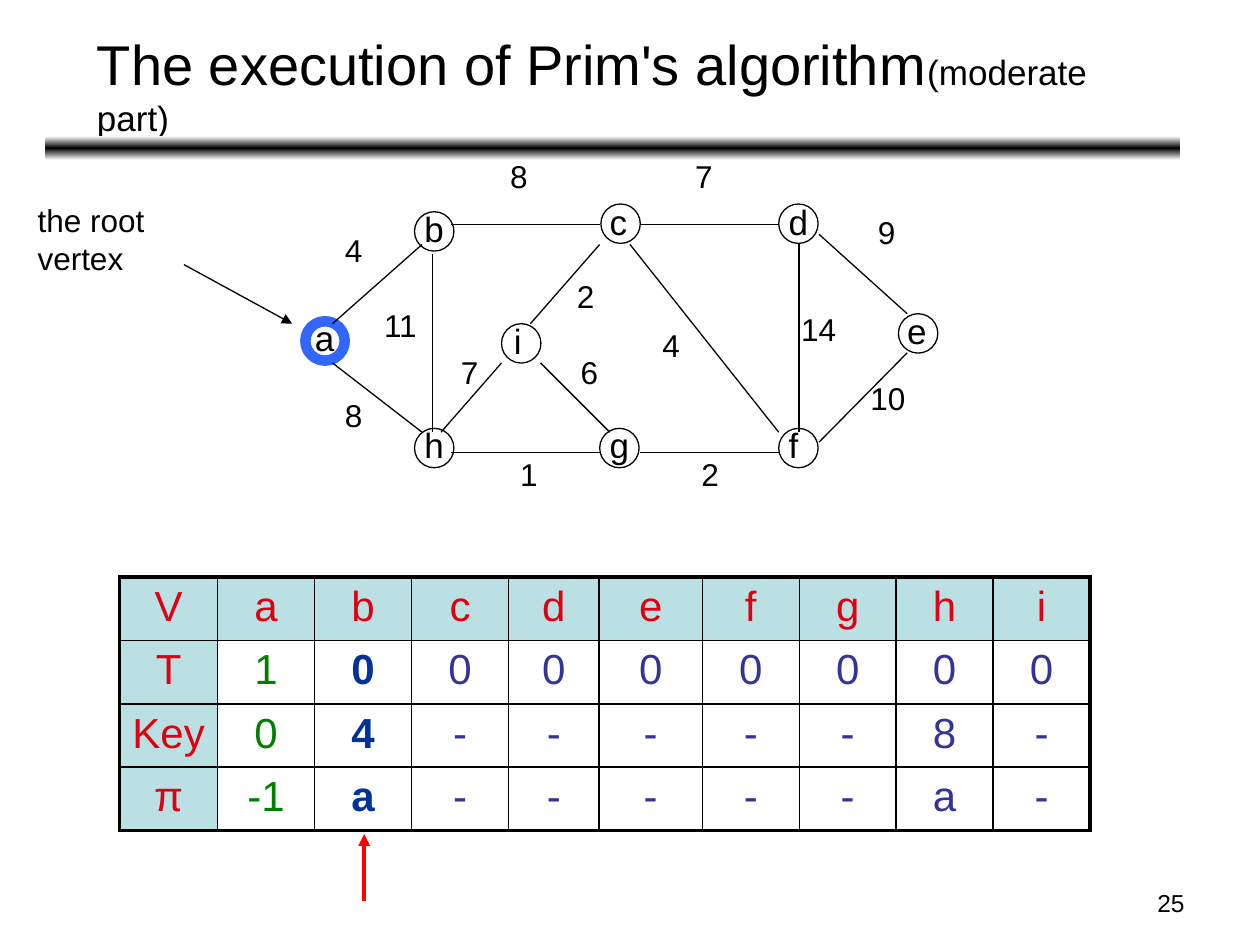
from copy import deepcopy

from pptx import Presentation
from pptx import util as u
from pptx.dml.color import RGBColor
from pptx.enum import shapes, text
from pptx.oxml import ns, xmlchemy

BLACK, WHITE, RED = "000000", "FFFFFF", "FF0000"
HEADER_RED, HEADER_FILL = "DD0111", "BBE0E3"
GREEN, NAVY, INDIGO, ROOT_BLUE = "008000", "003399", "333399", "3366FF"
NODE_SIZE = 22.5

# Vertex: (circle left, circle top, letter left, letter top)
VERTICES = {
    "a": (174.5, 183.6, 172.8, 177.1),
    "b": (236.9, 121, 235.4, 115.2),
    "h": (236.9, 244.8, 235.4, 238.3),
    "c": (343.4, 116.6, 341.3, 110.9),
    "d": (445, 116.6, 443.5, 110.9),
    "e": (513.4, 179.3, 511.2, 173.5),
    "f": (445, 244.8, 443.5, 238.3),
    "g": (342.7, 244.8, 341.3, 238.3),
    "i": (286.6, 185, 286.6, 179.3),
}

# Edge: (start x, start y, end x, end y), weight, (label left, label top)
EDGES = [
    ((190, 185, 241.2, 139.7), "4", (190, 128.2)),
    ((190, 207.4, 241.2, 247), "8", (190, 222.5)),
    ((247, 145.4, 247, 247), "11", (212.4, 171.4)),
    ((257.8, 128.2, 342.7, 128.2), "8", (284.4, 86.4)),
    ((257.8, 258.5, 342.7, 258.5), "1", (290.2, 256.3)),
    ((365.8, 258.5, 445, 258.5), "2", (393.8, 256.3)),
    ((360, 139.7, 445, 247), "4", (371.5, 182.9)),
    ((365.8, 128.2, 445, 128.2), "7", (390.2, 86.4)),
    ((456.5, 139.7, 456.5, 247), "14", (450.7, 173.5)),
    ((468, 133.9, 518.4, 179.3), "9", (494.6, 118.1)),
    ((468, 252.7, 518.4, 201.6), "10", (490.3, 213.1)),
    ((308.9, 207.4, 348.5, 247), "6", (324.7, 198)),
    ((252, 247, 286.6, 207.4), "7", (256.3, 198)),
    ((303.1, 185, 342.7, 139.7), "2", (322.6, 154.8)),
]

ROWS = [
    ["V", *"abcdefghi"],
    ["T", "1", *"00000000"],
    ["Key", "0", "4", *"-----8-"],
    ["π", "-1", "a", *"-----a-"],
]
COLUMN_WIDTHS = [56, 55.4, 55.4, 55.4, 51.8, 59, 55.4, 55.4, 55.4, 55.4]
ROW_HEIGHT = 36.2


def color(value):
    return RGBColor.from_string(value)


def write(paragraph, content, size=18, tint=BLACK, bold=False, align="LEFT"):
    paragraph.alignment = getattr(text.PP_ALIGN, align)
    run = paragraph.add_run()
    run.text = content
    run.font.name = "Arial"
    run.font.size = u.Pt(size)
    run.font.bold = bold
    run.font.color.rgb = color(tint)


def add_text(container, content, left, top, width, height, **style):
    box = container.add_textbox(u.Pt(left), u.Pt(top), u.Pt(width), u.Pt(height))
    box.text_frame.word_wrap = True
    write(box.text_frame.paragraphs[0], content, **style)


def add_line(container, points, tint=BLACK, width=0.75, arrow=False):
    line = container.add_connector(
        shapes.MSO_CONNECTOR.STRAIGHT, *(u.Pt(value) for value in points))
    line.line.color.rgb = color(tint)
    line.line.width = u.Pt(width)
    properties = line._element.spPr
    properties.append(xmlchemy.OxmlElement("a:effectLst"))
    if arrow:
        head = xmlchemy.OxmlElement("a:tailEnd")
        head.set("type", "triangle")
        properties.find(ns.qn("a:ln")).append(head)


def add_vertex(container, name):
    left, top, letter_left, letter_top = VERTICES[name]
    add_text(container, name, letter_left, letter_top, 24, 31, size=20)
    circle = container.add_shape(
        shapes.MSO_SHAPE.OVAL, u.Pt(left), u.Pt(top), u.Pt(NODE_SIZE), u.Pt(NODE_SIZE))
    circle.shadow.inherit = False
    circle.fill.background()
    is_root = name == "a"
    circle.line.color.rgb = color(ROOT_BLUE if is_root else BLACK)
    circle.line.width = u.Pt(6 if is_root else 0.75)


def add_gradient_bar(slide):
    bar = slide.shapes.add_shape(
        shapes.MSO_SHAPE.ROUNDED_RECTANGLE, u.Pt(26), u.Pt(77.8), u.Pt(648.7), u.Pt(13.7))
    bar.shadow.inherit = False
    bar.line.fill.background()
    bar.fill.gradient()
    bar.fill.gradient_angle = 90
    stop_list = bar._element.spPr.find(ns.qn("a:gradFill")).find(ns.qn("a:gsLst"))
    stop_list.append(deepcopy(stop_list[0]))
    stops = zip(bar.fill.gradient_stops, (0, 0.5, 1), (WHITE, BLACK, WHITE))
    for stop, position, tint in stops:
        stop.position = position
        stop.color.rgb = color(tint)


def set_border(cell, side, width):
    border = xmlchemy.OxmlElement(f"a:ln{side}")
    border.set("w", str(u.Pt(width)))
    fill = xmlchemy.OxmlElement("a:solidFill")
    tint = xmlchemy.OxmlElement("a:srgbClr")
    tint.set("val", BLACK)
    fill.append(tint)
    border.append(fill)
    cell._tc.get_or_add_tcPr().append(border)


def add_state_table(slide):
    row_count, column_count = len(ROWS), len(COLUMN_WIDTHS)
    table = slide.shapes.add_table(
        row_count, column_count, u.Pt(68.4), u.Pt(329.8),
        u.Pt(sum(COLUMN_WIDTHS)), u.Pt(ROW_HEIGHT * row_count)).table
    table.first_row = table.horz_banding = False
    for column, width in zip(table.columns, COLUMN_WIDTHS):
        column.width = u.Pt(width)
    for r, row in enumerate(ROWS):
        table.rows[r].height = u.Pt(ROW_HEIGHT)
        for c, content in enumerate(row):
            cell = table.cell(r, c)
            # Heavy outer frame, thin inner grid
            outer = {"L": c == 0, "R": c == column_count - 1,
                     "T": r == 0, "B": r == row_count - 1}
            for side, is_outer in outer.items():
                set_border(cell, side, 2.25 if is_outer else 1)
            is_header = r == 0 or c == 0
            if is_header:
                cell.fill.solid()
                cell.fill.fore_color.rgb = color(HEADER_FILL)
            else:
                cell.fill.background()
            tint = HEADER_RED if is_header else {1: GREEN, 2: NAVY}.get(c, INDIGO)
            write(cell.text_frame.paragraphs[0], content, size=24, tint=tint,
                  bold=c == 2 and not is_header, align="CENTER")


def add_title(slide):
    title = slide.shapes.title
    title.left, title.top = u.Pt(48.2), u.Pt(13)
    title.width, title.height = u.Pt(617.8), u.Pt(67)
    frame = title.text_frame
    frame.word_wrap = True
    frame.auto_size = text.MSO_AUTO_SIZE.NONE
    frame.vertical_anchor = text.MSO_ANCHOR.TOP
    write(frame.paragraphs[0], "The execution of Prim's algorithm", size=32)
    write(frame.paragraphs[0], "(moderate part)", size=20)


def main():
    presentation = Presentation()
    presentation.slide_width, presentation.slide_height = u.Pt(720), u.Pt(540)
    slide = presentation.slides.add_slide(presentation.slide_layouts[5])

    # Heading and slide number
    add_gradient_bar(slide)
    add_title(slide)
    add_text(slide.shapes, "25", 516.2, 504, 167.8, 25.2, size=14, align="RIGHT")

    # Weighted graph
    graph = slide.shapes.add_group_shape().shapes
    for name in VERTICES:
        add_vertex(graph, name)
    for points, weight, (left, top) in EDGES:
        add_line(graph, points)
        add_text(graph, weight, left, top, 26.6 if len(weight) == 1 else 38.2, 36)

    # Root vertex callout
    add_text(slide.shapes, "the root vertex", 14.4, 111.6, 96.5, 64.8)
    add_line(slide.shapes, (105.1, 151.2, 167, 185), arrow=True)

    # Algorithm state, with the next vertex marked
    add_state_table(slide)
    add_line(slide.shapes, (208.1, 514.8, 208.1, 476.6), tint=RED, width=2.25, arrow=True)

    presentation.save("out.pptx")


if __name__ == "__main__":
    main()
